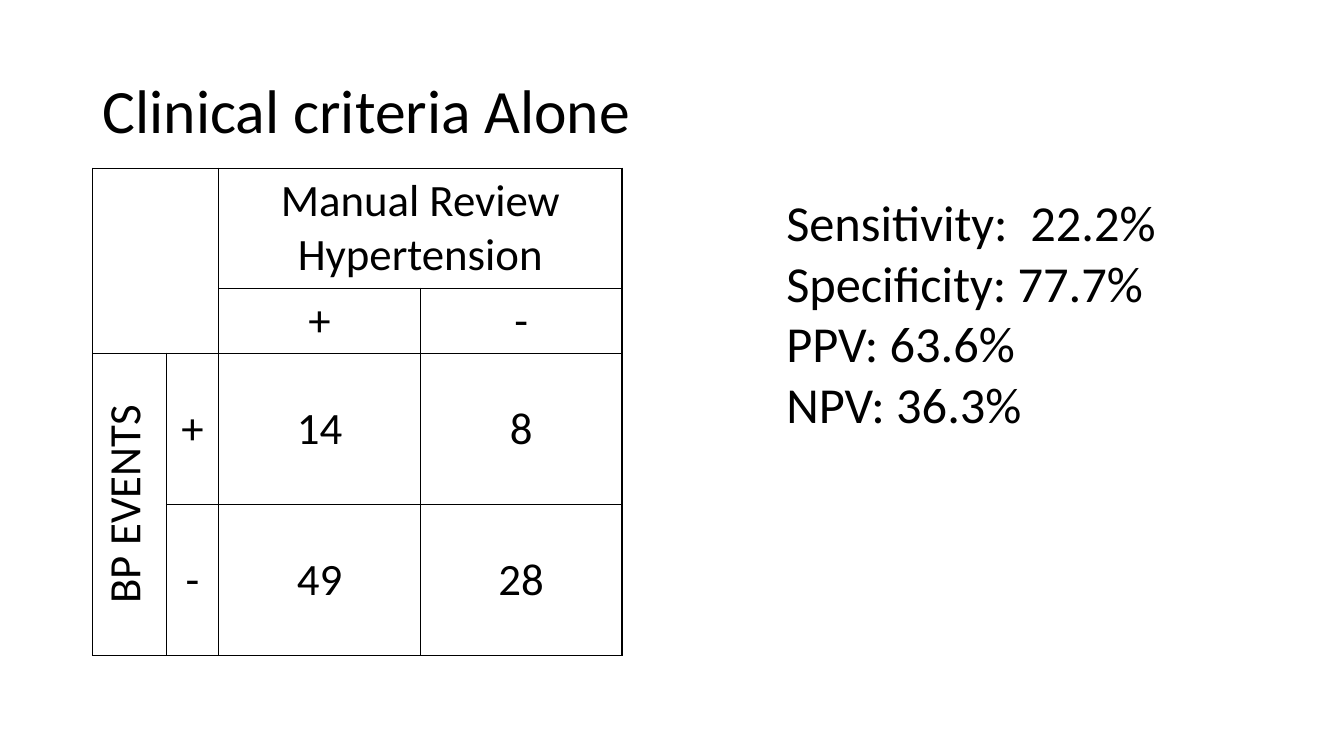
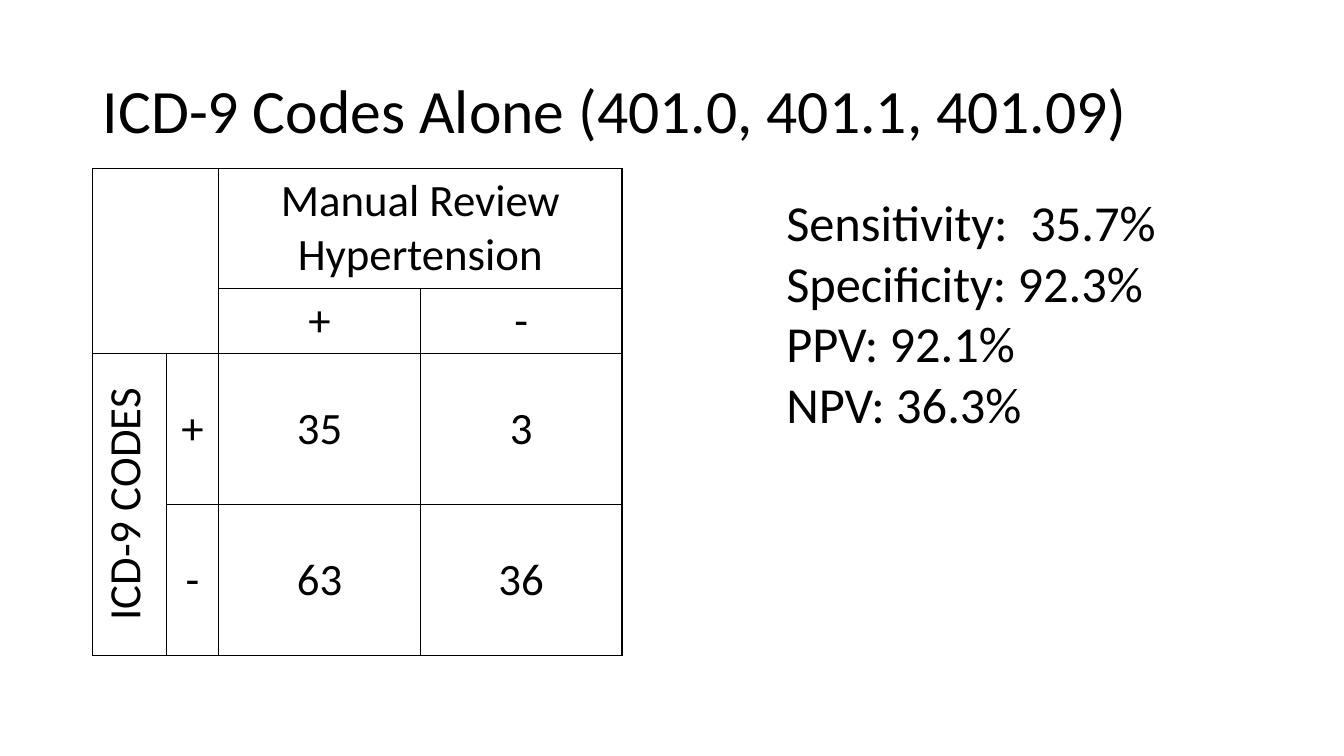
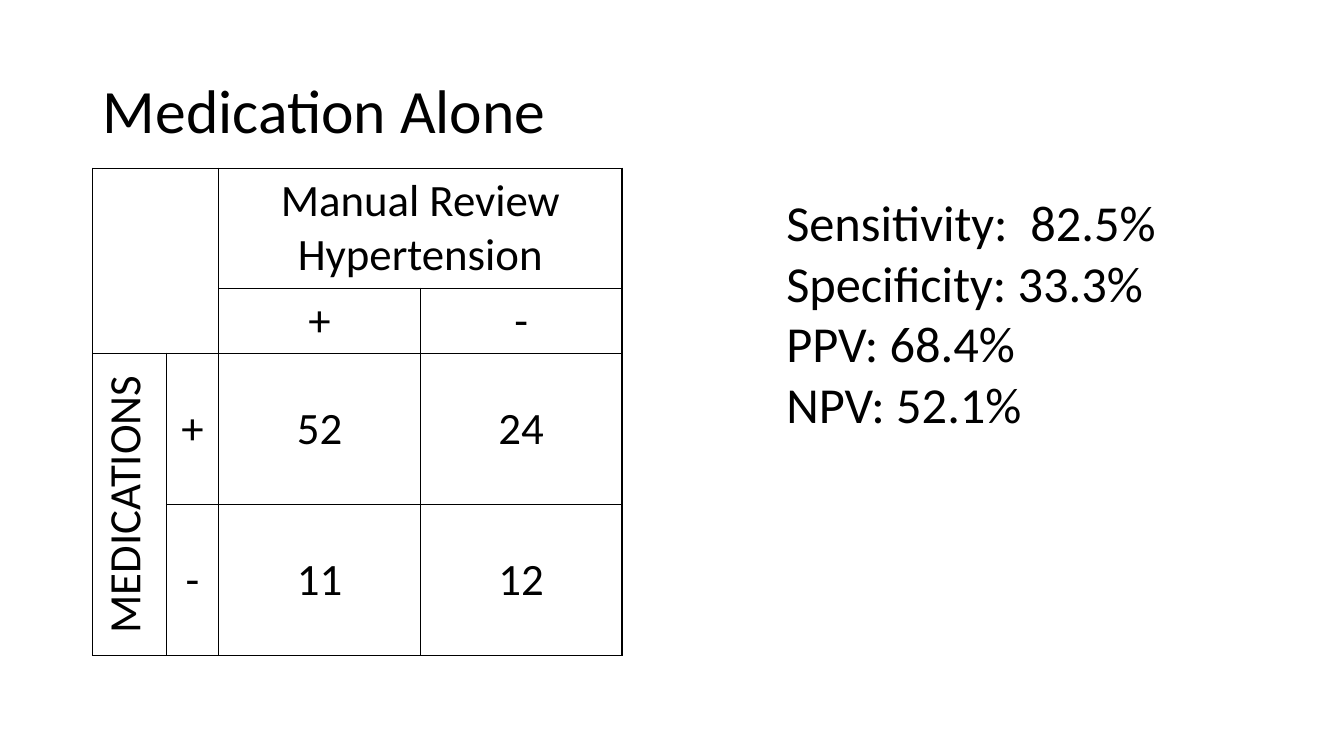
from dataclasses import dataclass

from lxml import etree
from pptx import Presentation
from pptx.dml.color import RGBColor
from pptx.enum import text
from pptx.oxml import ns
from pptx.util import Inches, Pt


@dataclass(frozen=True)
class Theme:
    font: str = "Calibri"
    ink: str = "000000"
    title: int = 44
    table: int = 32
    metrics: int = 36
    border: int = 1


THEME = Theme()

# title, row label, counts by test result (rows) and manual review (columns), metrics
SLIDES = [
    ("Clinical criteria Alone", "BP EVENTS", [(14, 8), (49, 28)],
     ("22.2%", "77.7%", "63.6%", "36.3%")),
    ("ICD-9 Codes Alone (401.0, 401.1, 401.09)", "ICD-9 CODES", [(35, 3), (63, 36)],
     ("35.7%", "92.3%", "92.1%", "36.3%")),
    ("Medication Alone", "MEDICATIONS", [(52, 24), (11, 12)],
     ("82.5%", "33.3%", "68.4%", "52.1%")),
]
METRIC_LABELS = ("Sensitivity:  ", "Specificity: ", "PPV: ", "NPV: ")
COLUMN_HEADING = "Manual Review Hypertension"
SIGNS = ("+", "-")
COL_WIDTHS = (0.73, 0.52, 2, 2)
ROW_HEIGHTS = (1.19, 0.64, 1.5, 1.5)
LEFT = 0.92


def style(tf, size, align=text.PP_ALIGN.LEFT):
    for p in tf.paragraphs:
        p.alignment = align
        for r in p.runs:
            r.font.name = THEME.font
            r.font.size = Pt(size)
            r.font.color.rgb = RGBColor.from_string(THEME.ink)


def add_borders(cell):
    tc_pr = cell._tc.get_or_add_tcPr()
    for i, side in enumerate(("lnL", "lnR", "lnT", "lnB")):
        ln = etree.Element(ns.qn(f"a:{side}"), w=str(Pt(THEME.border)))
        fill = etree.SubElement(ln, ns.qn("a:solidFill"))
        etree.SubElement(fill, ns.qn("a:srgbClr"), val=THEME.ink)
        tc_pr.insert(i, ln)


def add_title(s, title):
    sp = s.shapes.title
    sp.left, sp.top, sp.width, sp.height = map(Inches, (LEFT, 0.4, 11.5, 1.45))
    tf = sp.text_frame
    tf.text = title
    tf.vertical_anchor = text.MSO_ANCHOR.MIDDLE
    tf.paragraphs[0].line_spacing = 0.9
    style(tf, THEME.title)


def add_confusion_table(s, row_label, counts):
    size = Inches(sum(COL_WIDTHS)), Inches(sum(ROW_HEIGHTS))
    table = s.shapes.add_table(4, 4, Inches(LEFT), Inches(1.67), *size).table
    table.first_row = table.horz_banding = False
    for col, width in zip(table.columns, COL_WIDTHS):
        col.width = Inches(width)
    for row, height in zip(table.rows, ROW_HEIGHTS):
        row.height = Inches(height)

    table.cell(0, 0).merge(table.cell(1, 1))
    table.cell(0, 2).merge(table.cell(0, 3))
    table.cell(2, 0).merge(table.cell(3, 0))

    entries = {(0, 2): COLUMN_HEADING, (2, 0): row_label}
    for i, sign in enumerate(SIGNS):
        entries[1, i + 2] = entries[i + 2, 1] = sign
        for j, count in enumerate(counts[i]):
            entries[i + 2, j + 2] = str(count)
    for (row, col), value in entries.items():
        cell = table.cell(row, col)
        cell.text = value
        if row:
            cell.vertical_anchor = text.MSO_ANCHOR.MIDDLE
        style(cell.text_frame, THEME.table, text.PP_ALIGN.CENTER)

    for cell in table.iter_cells():
        cell.fill.background()
        add_borders(cell)
    table.cell(2, 0)._tc.get_or_add_tcPr().set("vert", "vert270")


def add_metrics(s, values):
    sp = s.shapes.add_textbox(*map(Inches, (7.7, 1.85, 3.91, 2.52)))
    tf = sp.text_frame
    tf.text = "\n".join(map("".join, zip(METRIC_LABELS, values)))
    tf.word_wrap = False
    tf.auto_size = text.MSO_AUTO_SIZE.SHAPE_TO_FIT_TEXT
    style(tf, THEME.metrics)


def main():
    prs = Presentation()
    prs.slide_width, prs.slide_height = Inches(13.33), Inches(7.5)
    for title, row_label, counts, metrics in SLIDES:
        s = prs.slides.add_slide(prs.slide_layouts[5])
        add_title(s, title)
        add_confusion_table(s, row_label, counts)
        add_metrics(s, metrics)
    prs.save("out.pptx")


if __name__ == "__main__":
    main()
